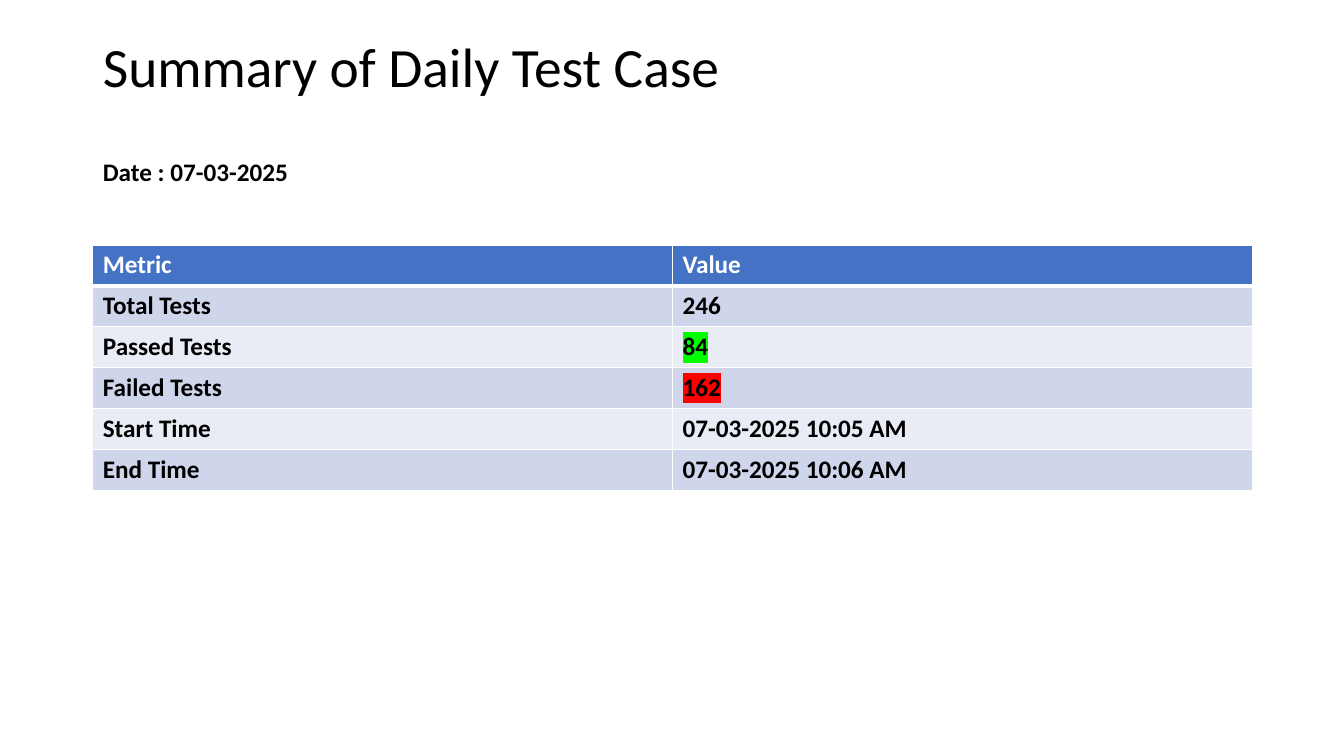
from pptx import Presentation
from pptx.dml.color import RGBColor
from pptx.enum.text import MSO_ANCHOR, MSO_AUTO_SIZE, PP_ALIGN
from pptx.oxml import parse_xml
from pptx.oxml.ns import nsdecls, qn
from pptx.util import Inches, Pt

LEFT, MIDDLE, NO_FIT = PP_ALIGN.LEFT, MSO_ANCHOR.MIDDLE, MSO_AUTO_SIZE.NONE
TITLE_ONLY = 5
FONT = "Calibri"
COLORS = {
    "text": "000000",
    "white": "FFFFFF",
    "header": "4472C4",
    "odd": "CFD5EA",
    "even": "E9EBF5",
    "passed": "00FF00",
    "failed": "FF0000",
}
MARGIN, WIDTH = Inches(0.92), Inches(11.5)
ROW_H = Inches(0.405)
TABLE_TOP = Inches(2.43)
# Metric, value and the highlight of the value
ROWS = [
    ("Metric", "Value", None),
    ("Total Tests", "246", None),
    ("Passed Tests", "84", "passed"),
    ("Failed Tests", "162", "failed"),
    ("Start Time", "07-03-2025 10:05 AM", None),
    ("End Time", "07-03-2025 10:06 AM", None),
]


def add_run(p, text, color, highlight=None, **fmt):
    r = p.add_run()
    r.text = text
    for name, value in {"name": FONT, **fmt}.items():
        setattr(r.font, name, value)
    r.font.color.rgb = RGBColor.from_string(COLORS[color])
    if highlight:
        mark = parse_xml(f'<a:highlight {nsdecls("a")}>'
                         f'<a:srgbClr val="{COLORS[highlight]}"/></a:highlight>')
        r.font._element.find(qn("a:solidFill")).addnext(mark)


def add_borders(cell, widths):
    """Draw white borders; widths maps a side (L, R, T, B) to points."""
    tcPr = cell._tc.get_or_add_tcPr()
    for i, (side, width) in enumerate(widths.items()):
        tcPr.insert(i, parse_xml(
            f'<a:ln{side} {nsdecls("a")} w="{Pt(width)}"><a:solidFill>'
            f'<a:srgbClr val="{COLORS["white"]}"/></a:solidFill></a:ln{side}>'))


def fill_title(title):
    title.left, title.top = MARGIN, Inches(0.4)
    title.width, title.height = WIDTH, Inches(1.45)
    tf = title.text_frame
    for name, value in {"word_wrap": True, "auto_size": NO_FIT,
                        "vertical_anchor": MIDDLE}.items():
        setattr(tf, name, value)
    heading, date = tf.paragraphs[0], tf.add_paragraph()
    for p in (heading, date):
        p.alignment, p.line_spacing = LEFT, 0.9
        p.space_before = Pt(0)
    date.space_before = Pt(43.5)
    add_run(heading, "Summary of Daily Test Case", "text", size=Pt(39.6), bold=False)
    add_run(date, "Date : 07-03-2025", "text", size=Pt(18), bold=True)


def add_summary_table(s):
    table = s.shapes.add_table(len(ROWS), 2, MARGIN, TABLE_TOP,
                               WIDTH, ROW_H * len(ROWS)).table
    for i, (metric, value, highlight) in enumerate(ROWS):
        table.rows[i].height = ROW_H
        fill = "header" if i == 0 else ("even", "odd")[i % 2]
        color = "white" if i == 0 else "text"
        widths = {"L": 1, "R": 1, "T": 3 if i == 1 else 1, "B": 3 if i == 0 else 1}
        for j, (text, mark) in enumerate([(metric, None), (value, highlight)]):
            cell = table.cell(i, j)
            cell.fill.solid()
            cell.fill.fore_color.rgb = RGBColor.from_string(COLORS[fill])
            add_borders(cell, widths)
            add_run(cell.text_frame.paragraphs[0], text, color, mark,
                    size=Pt(18), bold=True)


def main():
    prs = Presentation()
    prs.slide_width, prs.slide_height = Inches(13.33), Inches(7.5)
    s = prs.slides.add_slide(prs.slide_layouts[TITLE_ONLY])
    fill_title(s.shapes.title)
    add_summary_table(s)
    prs.save("out.pptx")


if __name__ == "__main__":
    main()
